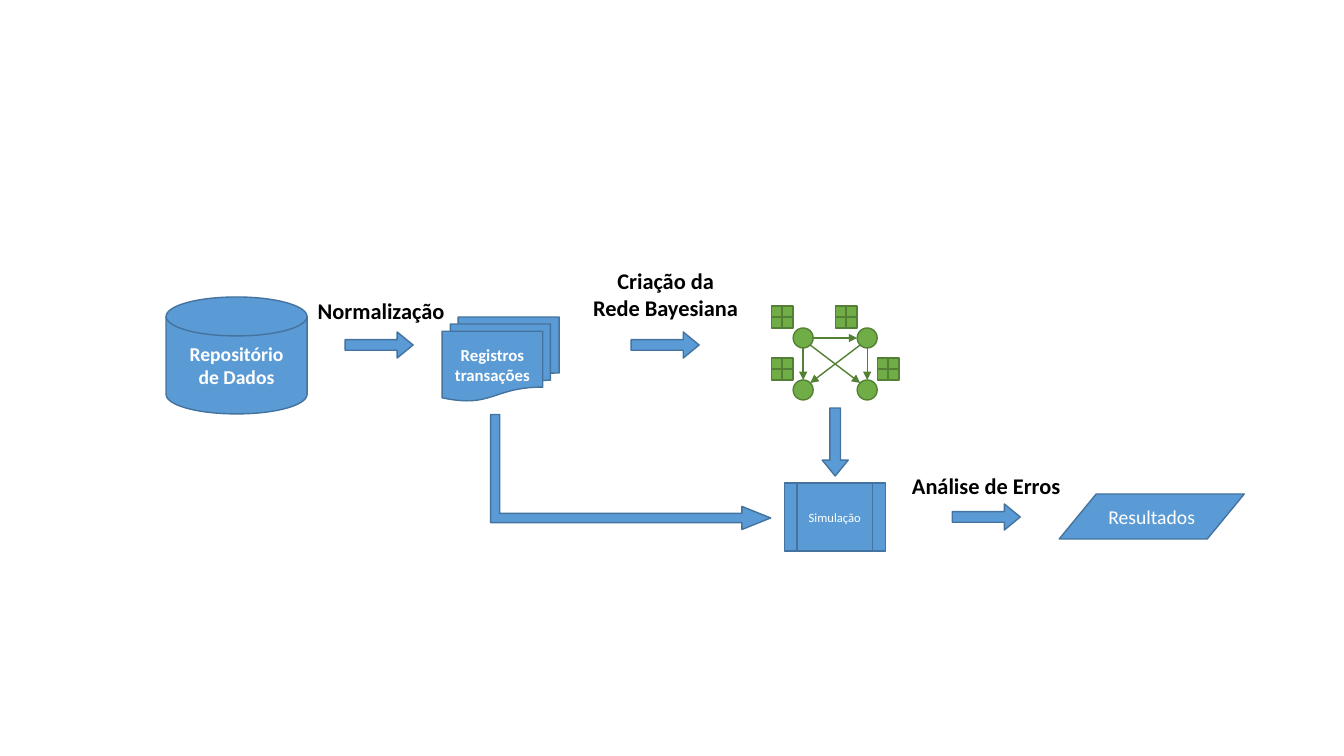
from pptx import Presentation
from pptx import util as u
from pptx.dml.color import RGBColor
from pptx.enum import shapes, text
from pptx.oxml import parse_xml
from pptx.oxml.ns import nsdecls

BLUE, BLUE_EDGE = RGBColor(0x5B, 0x9B, 0xD5), RGBColor(0x43, 0x73, 0x9E)
GREEN, GREEN_EDGE = RGBColor(0x70, 0xAD, 0x47), RGBColor(0x53, 0x80, 0x35)
WHITE, BLACK = RGBColor(255, 255, 255), RGBColor(0, 0, 0)
FONT = "Calibri"
PX = 914400 / 100.8
KIND = shapes.MSO_SHAPE

# Stages: preset, left, top, width, height, text lines, size, bold
STAGES = [
    (KIND.FLOWCHART_MAGNETIC_DISK, 166, 297, 141, 117, ["Repositório", "de Dados"], 14, True),
    (KIND.FLOWCHART_MULTIDOCUMENT, 442, 317, 117, 84, ["Registros transações"], 12, True),
    (KIND.FLOWCHART_PREDEFINED_PROCESS, 784, 483, 101, 68, ["Simulação"], 9, False),
    (KIND.FLOWCHART_DATA, 1059, 494, 185, 45, ["Resultados"], 14, False),
]
# Step labels: left, top, width, height, text lines
STEPS = [
    (307, 292, 148, 37, ["Normalização"]),
    (582, 262, 167, 65, ["Criação da", "Rede Bayesiana"]),
    (901, 467, 170, 37, ["Análise de Erros"]),
]
# Flow arrows: left, top, rotation
FLOW_ARROWS = [(345, 332, 0), (631, 332, 0), (952, 504, 0), (801, 429, 90)]
ARROW_SIZE = (68, 26)

# Bayesian network: node centre and direction of its probability table
NODES = {
    "top left": (803, 338, "above"),
    "top right": (867, 338, "above"),
    "bottom right": (867, 390, "right"),
    "bottom left": (803, 390, "left"),
}
EDGES = [
    ("top left", "top right"),
    ("top left", "bottom right"),
    ("top left", "bottom left"),
    ("top right", "bottom left"),
    ("top right", "bottom right"),
]
RADIUS, DIAGONAL_REACH, CELL = 10, 7, 11

prs = Presentation()
prs.slide_width, prs.slide_height = u.Inches(13.33), u.Inches(7.5)
slide = prs.slides.add_slide(prs.slide_layouts[6])


def emu(*pixels):
    return [u.Emu(round(p * PX)) for p in pixels]


def write(frame, lines, size, bold, color):
    paragraph = frame.paragraphs[0]
    paragraph.alignment = text.PP_ALIGN.CENTER
    for i, line in enumerate(lines):
        if i:
            paragraph.add_line_break()
        run = paragraph.add_run()
        run.text = line
        run.font.name, run.font.size, run.font.bold = FONT, u.Pt(size), bold
        run.font.color.rgb = color


def draw(kind, *box, fill=BLUE, edge=BLUE_EDGE, adjust=(), rotation=0):
    part = slide.shapes.add_shape(kind, *emu(*box))
    part.shadow.inherit = False
    part.fill.solid()
    part.fill.fore_color.rgb = fill
    part.line.color.rgb, part.line.width = edge, u.Pt(1)
    for i, value in enumerate(adjust):
        part.adjustments[i] = value
    part.rotation = rotation
    return part


# Stages and step labels
for kind, left, top, width, height, lines, size, bold in STAGES:
    frame = draw(kind, left, top, width, height).text_frame
    frame.word_wrap = True
    frame.vertical_anchor = text.MSO_ANCHOR.MIDDLE
    write(frame, lines, size, bold, WHITE)

for *box, lines in STEPS:
    frame = slide.shapes.add_textbox(*emu(*box)).text_frame
    frame.word_wrap = False
    frame.auto_size = text.MSO_AUTO_SIZE.SHAPE_TO_FIT_TEXT
    write(frame, lines, 16, True, BLACK)

# Flow arrows, then the bent one from the records to the simulation
for left, top, rotation in FLOW_ARROWS:
    draw(KIND.RIGHT_ARROW, left, top, *ARROW_SIZE, adjust=(0.41, 0.61), rotation=rotation)
draw(KIND.BENT_UP_ARROW, 573, 332, 115, 280, adjust=(0.08, 0.1, 0.25), rotation=90)

# Network nodes, each with a 2 x 2 table beside it
for x, y, side in NODES.values():
    draw(KIND.OVAL, x - RADIUS, y - RADIUS, 2 * RADIUS, 2 * RADIUS, fill=GREEN, edge=GREEN_EDGE)
    table_left = x + RADIUS if side == "right" else x - RADIUS - 2 * CELL
    table_top = y - RADIUS - 2 * CELL
    for row in range(2):
        for col in range(2):
            draw(KIND.RECTANGLE, table_left + col * CELL, table_top + row * CELL, CELL, CELL,
                 fill=GREEN, edge=GREEN_EDGE)

# Network edges run from rim to rim
for source, target in EDGES:
    (x1, y1, _), (x2, y2, _) = NODES[source], NODES[target]
    step_x, step_y = (x2 > x1) - (x2 < x1), (y2 > y1) - (y2 < y1)
    reach = DIAGONAL_REACH if step_x and step_y else RADIUS
    dx, dy = step_x * reach, step_y * reach
    edge = slide.shapes.add_connector(
        shapes.MSO_CONNECTOR.STRAIGHT, *emu(x1 + dx, y1 + dy, x2 - dx, y2 - dy))
    edge.line.color.rgb, edge.line.width = GREEN_EDGE, u.Pt(1)
    edge.line._get_or_add_ln().append(parse_xml(f'<a:tailEnd {nsdecls("a")} type="triangle"/>'))
    edge._element.spPr.append(parse_xml(f'<a:effectLst {nsdecls("a")}/>'))

prs.save("out.pptx")
